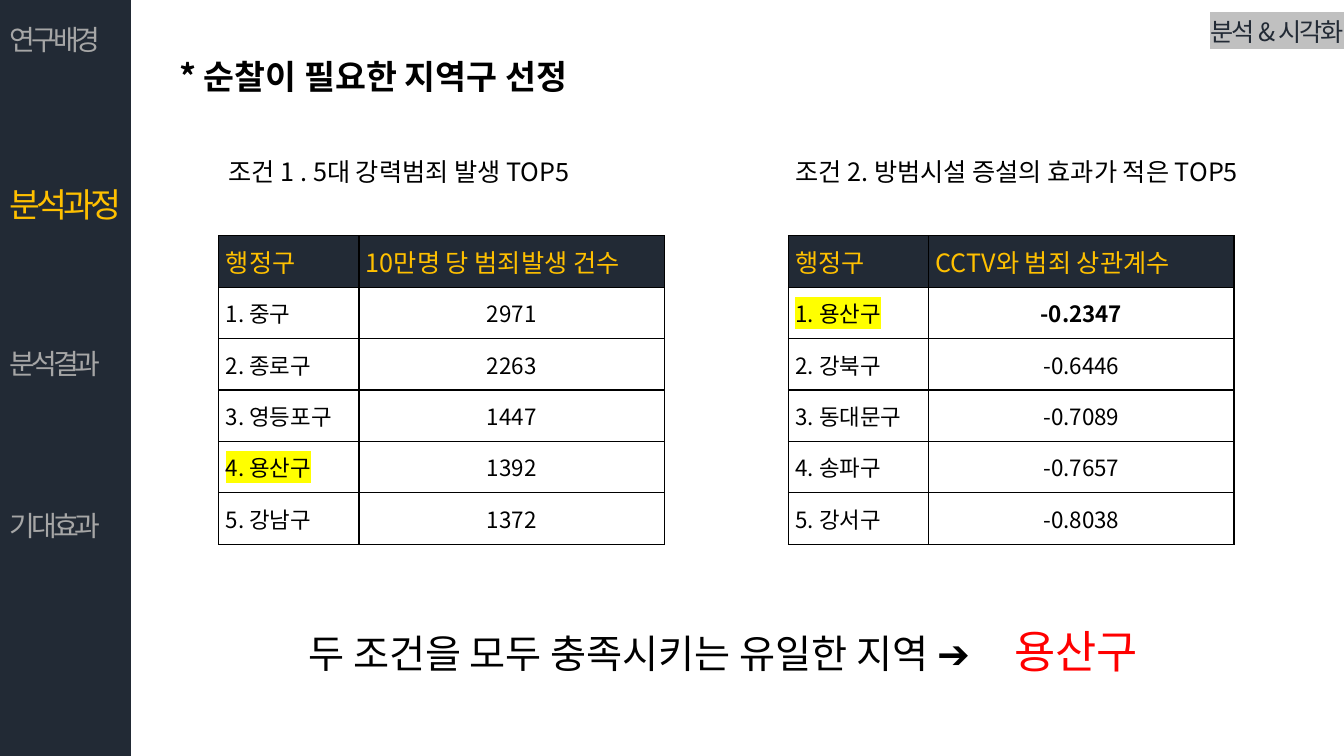
from dataclasses import dataclass

from lxml import etree
from pptx import Presentation
from pptx.dml.color import RGBColor
from pptx.enum.shapes import MSO_SHAPE
from pptx.enum.text import MSO_ANCHOR, PP_ALIGN
from pptx.oxml.ns import qn
from pptx.util import Inches, Pt

RECT = MSO_SHAPE.RECTANGLE
MIDDLE = MSO_ANCHOR.MIDDLE
LEFT, CENTER, RIGHT, JUSTIFY = (
    PP_ALIGN.LEFT, PP_ALIGN.CENTER, PP_ALIGN.RIGHT, PP_ALIGN.JUSTIFY)


@dataclass(frozen=True)
class Theme:
    font: str = "Noto Sans CJK KR"
    navy: str = "222A35"
    gold: str = "FFC000"
    muted: str = "A6A6A6"
    black: str = "000000"
    red: str = "FF0000"
    marker: str = "FFFF00"
    tag: str = "C0C0C0"
    cell: int = 16
    body: int = 18
    menu: int = 20
    title: int = 24
    conclusion: int = 28
    answer: int = 32


T = Theme()

MENU = ["연구배경", "분석과정", "분석결과", "기대효과"]
CURRENT = "분석과정"
CHOSEN = "용산구"
CRIME = [("행정구", "10만명 당 범죄발생 건수"),
         ("1. 중구", "2971"),
         ("2. 종로구", "2263"),
         ("3. 영등포구", "1447"),
         ("4. 용산구", "1392"),
         ("5. 강남구", "1372")]
CCTV = [("행정구", "CCTV와 범죄 상관계수"),
        ("1. 용산구", "-0.2347"),
        ("2. 강북구", "-0.6446"),
        ("3. 동대문구", "-0.7089"),
        ("4. 송파구", "-0.7657"),
        ("5. 강서구", "-0.8038")]


def add_run(p, text, size, color=T.black, bold=False, spacing=0, highlight=None):
    r = p.add_run()
    r.text = text
    r.font.size = Pt(size)
    r.font.bold = bold
    r.font.color.rgb = RGBColor.from_string(color)
    rPr = r.font._element
    if spacing:
        rPr.set("spc", str(round(spacing * 100)))
    if highlight:
        mark = etree.SubElement(rPr, qn("a:highlight"))
        etree.SubElement(mark, qn("a:srgbClr"), val=highlight)
    r.font.name = T.font
    etree.SubElement(rPr, qn("a:ea"), typeface=T.font)


def add_text_box(s, x, y, w, h, align=LEFT):
    """Add a wrapping text box and return its first paragraph."""
    tf = s.shapes.add_textbox(Inches(x), Inches(y), Inches(w), Inches(h)).text_frame
    tf.word_wrap = True
    p = tf.paragraphs[0]
    p.alignment = align
    return p


def add_sidebar(s, x, y, w, h):
    bar = s.shapes.add_shape(RECT, Inches(x), Inches(y), Inches(w), Inches(h))
    bar.shadow.inherit = False
    bar.fill.solid()
    bar.fill.fore_color.rgb = RGBColor.from_string(T.navy)
    bar.line.fill.background()
    for i, name in enumerate(MENU):
        size, color = (T.title, T.gold) if name == CURRENT else (T.menu, T.muted)
        p = add_text_box(s, x, y + 0.17 + i * 1.61, w + 0.3, 0.44)
        add_run(p, name, size, color, spacing=-3)


def set_borders(cell):
    tcPr = cell._tc.get_or_add_tcPr()
    for i, side in enumerate(("a:lnL", "a:lnR", "a:lnT", "a:lnB")):
        ln = etree.Element(qn(side), w=str(Pt(1)))
        fill = etree.SubElement(ln, qn("a:solidFill"))
        etree.SubElement(fill, qn("a:srgbClr"), val=T.black)
        tcPr.insert(i, ln)


def fill_cell(cell, text, header, centered, bold):
    cell.vertical_anchor = MIDDLE
    cell.margin_left = cell.margin_right = Inches(0.07)
    cell.margin_top = cell.margin_bottom = 0
    p = cell.text_frame.paragraphs[0]
    p.alignment = CENTER if centered else LEFT
    if header:
        cell.fill.solid()
        cell.fill.fore_color.rgb = RGBColor.from_string(T.navy)
        add_run(p, text, T.body, T.gold)
    else:
        cell.fill.background()
        mark = T.marker if CHOSEN in text else None
        add_run(p, text, T.cell, bold=bold, highlight=mark)
    set_borders(cell)


def add_ranking(s, x, y, rows, bold_value=None):
    widths, row_h = (1.39, 3.03), 0.51
    table = s.shapes.add_table(
        len(rows), len(widths), Inches(x), Inches(y),
        Inches(sum(widths)), Inches(row_h * len(rows))).table
    table.horz_banding = False
    for col, width in zip(table.columns, widths):
        col.width = Inches(width)
    for i, values in enumerate(rows):
        table.rows[i].height = Inches(row_h)
        for j, text in enumerate(values):
            fill_cell(table.cell(i, j), text, header=i == 0,
                      centered=i > 0 and j == 1, bold=text == bold_value)


def add_condition(s, x, y, w, caption):
    add_run(add_text_box(s, x, y, w, 0.4, JUSTIFY), caption, T.body)


def add_conclusion(s, x, y, w, h):
    p = add_text_box(s, x, y, w, h)
    tabs = etree.SubElement(p._p.get_or_add_pPr(), qn("a:tabLst"))
    etree.SubElement(tabs, qn("a:tab"), pos=str(Inches(7)), algn="l")
    add_run(p, "두 조건을 모두 충족시키는 유일한 지역 ➔\t", T.conclusion)
    add_run(p, CHOSEN, T.answer, T.red)


def main():
    prs = Presentation()
    prs.slide_width, prs.slide_height = Inches(13.33), Inches(7.5)
    s = prs.slides.add_slide(prs.slide_layouts[6])
    add_sidebar(s, 0, 0, 1.3, 7.5)
    add_run(add_text_box(s, 1.68, 0.51, 4.07, 0.5),
            "* 순찰이 필요한 지역구 선정", T.title, bold=True)
    add_condition(s, 2.17, 1.5, 4.59, "조건 1 . 5대 강력범죄 발생 TOP5")
    add_ranking(s, 2.17, 2.34, CRIME)
    add_condition(s, 7.79, 1.5, 4.81, "조건 2. 방범시설 증설의 효과가 적은 TOP5")
    add_ranking(s, 7.82, 2.34, CCTV, bold_value="-0.2347")
    add_conclusion(s, 2.96, 6.14, 8.64, 0.64)
    add_run(add_text_box(s, 11.76, 0.11, 1.67, 0.4, RIGHT),
            "분석 & 시각화", T.body, T.navy, spacing=-1.5, highlight=T.tag)
    prs.save("out.pptx")


if __name__ == "__main__":
    main()
